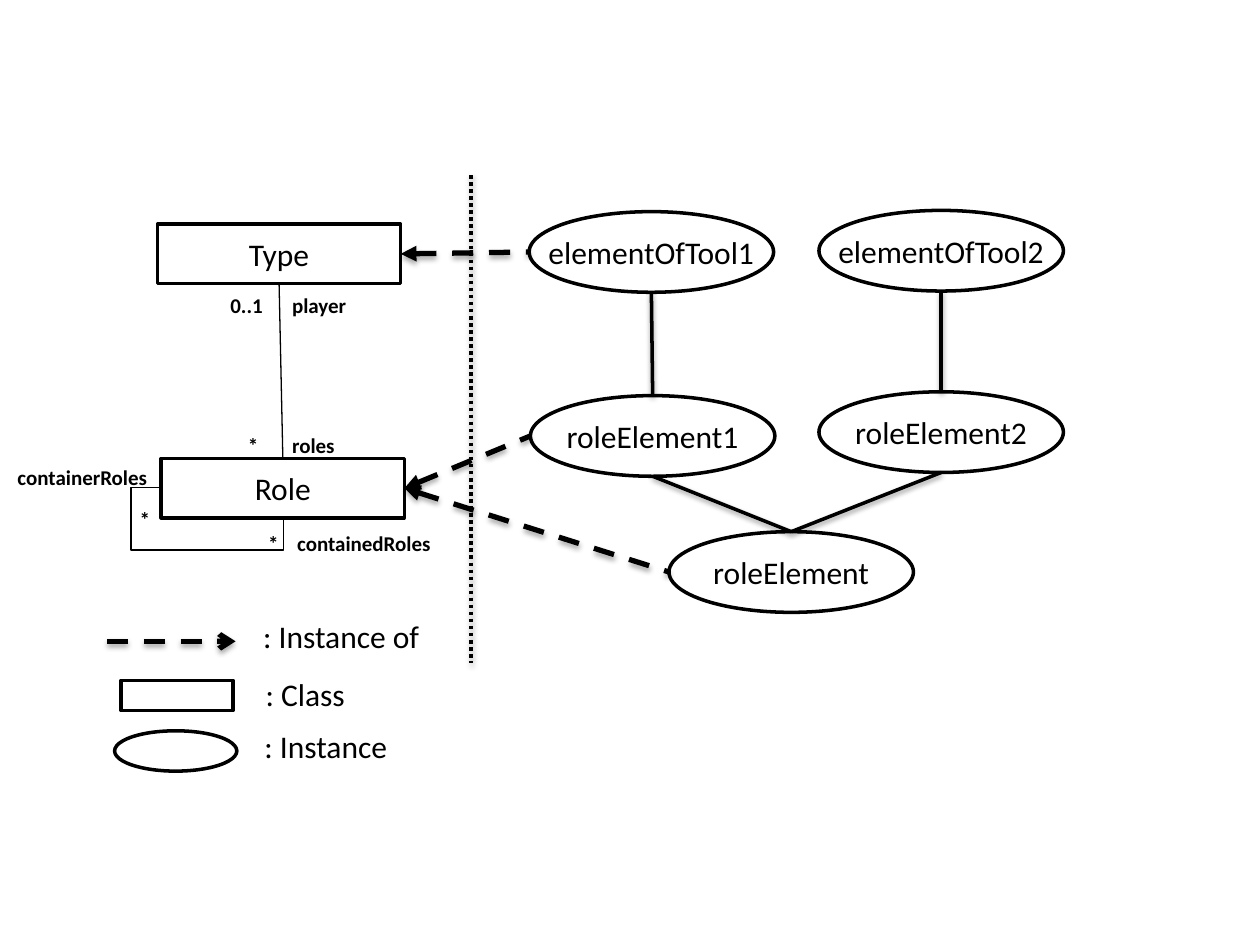
from dataclasses import dataclass

from lxml import etree
from pptx import Presentation
from pptx.dml.color import RGBColor
from pptx.enum.dml import MSO_LINE_DASH_STYLE as Dash
from pptx.enum.shapes import MSO_CONNECTOR as Connector, MSO_SHAPE as Shape
from pptx.enum.text import MSO_ANCHOR as Anchor, MSO_AUTO_SIZE as AutoSize, PP_ALIGN as Align
from pptx.oxml.ns import qn
from pptx.util import Inches, Pt


@dataclass(frozen=True)
class Theme:
    ink: RGBColor = RGBColor(0, 0, 0)
    paper: RGBColor = RGBColor(255, 255, 255)
    font: str = "Calibri"
    body: int = 18
    label: int = 12
    thin: float = 0.75
    outline: float = 2
    arrow: float = 3


TOP, LEFT, BOTTOM, RIGHT = (0.5, 0), (0, 0.5), (0.5, 1), (1, 0.5)
CLASS_SIZE, INSTANCE_SIZE = (1.93, 0.47), (1.94, 0.64)


def side(shape, place):
    return (shape.left + shape.width * place[0]) / Inches(1), (shape.top + shape.height * place[1]) / Inches(1)


class Diagram:
    """Draws classes, instances, labels and links on one slide."""

    def __init__(self, slide, theme):
        self.shapes, self.theme = slide.shapes, theme

    def style_text(self, paragraph, size, bold=False):
        font = paragraph.font
        font.name, font.size, font.bold = self.theme.font, Pt(size), bold
        font.color.rgb = self.theme.ink

    def node(self, kind, position, size, text=""):
        shape = self.shapes.add_shape(kind, *map(Inches, position + size))
        shape.shadow.inherit = False
        shape.fill.solid()
        shape.fill.fore_color.rgb = self.theme.paper
        shape.line.color.rgb = self.theme.ink
        shape.line.width = Pt(self.theme.outline)
        frame = shape.text_frame
        frame.vertical_anchor = Anchor.MIDDLE
        if kind == Shape.OVAL:
            frame.margin_left = frame.margin_right = 0
            frame.word_wrap = False
        if text:
            paragraph = frame.paragraphs[0]
            paragraph.text = text
            paragraph.alignment = Align.CENTER
            self.style_text(paragraph, self.theme.body)
        return shape

    def text(self, content, left, top, width, height, size, bold=False, tab=None):
        box = self.shapes.add_textbox(*map(Inches, (left, top, width, height)))
        frame = box.text_frame
        frame.word_wrap = False
        frame.auto_size = AutoSize.SHAPE_TO_FIT_TEXT
        paragraph = frame.paragraphs[0]
        paragraph.text = content
        self.style_text(paragraph, size, bold)
        if tab:
            stops = etree.Element(qn("a:tabLst"))
            etree.SubElement(stops, qn("a:tab"), pos=str(Inches(tab)), algn="l")
            paragraph._p.get_or_add_pPr().insert(0, stops)

    def line(self, start, end, width, dash=None, shadow=None, ends=(), kind=Connector.STRAIGHT):
        link = self.shapes.add_connector(kind, *map(Inches, start + end))
        link.line.color.rgb = self.theme.ink
        link.line.width = Pt(width)
        if dash:
            link.line.dash_style = dash
        for name, arrow in ends:
            etree.SubElement(link.line._get_or_add_ln(), qn(name), type=arrow)
        effects = etree.SubElement(link._element.spPr, qn("a:effectLst"))
        if shadow:
            distance, alpha = shadow
            outer = etree.SubElement(effects, qn("a:outerShdw"), blurRad=str(Pt(3.1)),
                                     dist=str(Pt(distance)), dir="5400000", rotWithShape="0")
            color = etree.SubElement(outer, qn("a:srgbClr"), val=str(self.theme.ink))
            etree.SubElement(color, qn("a:alpha"), val=str(alpha * 1000))
        return link

    def solid(self, start, end, dash=None):
        self.line(start, end, self.theme.outline, dash, (1.6, 38))

    def instance_of(self, start, end, ends=(("a:headEnd", "triangle"),)):
        self.line(start, end, self.theme.arrow, Dash.DASH, (1.8, 35), ends)

    def self_link(self, start, end, bends):
        link = self.line(start, end, self.theme.thin, kind=Connector.ELBOW)
        properties = link._element.spPr
        frame = properties.find(qn("a:xfrm"))
        frame.set("rot", "5400000")
        frame.set("flipH", "1")
        geometry = properties.find(qn("a:prstGeom"))
        geometry.set("prst", "bentConnector4")
        guides = geometry.find(qn("a:avLst"))
        for number, bend in enumerate(bends, 1):
            etree.SubElement(guides, qn("a:gd"), name=f"adj{number}", fmla=f"val {round(bend * 100000)}")


presentation = Presentation()
presentation.slide_width, presentation.slide_height = Inches(10), Inches(7.5)
slide = presentation.slides.add_slide(presentation.slide_layouts[6])
theme = Theme()
diagram = Diagram(slide, theme)

diagram.solid((3.74, 1.39), (3.74, 5.26), Dash.ROUND_DOT)

type_class, role_class = [
    diagram.node(Shape.RECTANGLE, position, CLASS_SIZE, name)
    for name, position in (("Type", (1.25, 1.78)), ("Role", (1.28, 3.64)))
]
tool1, tool2, role1, role2, role = [
    diagram.node(Shape.OVAL, position, INSTANCE_SIZE, name)
    for name, position in (
        ("elementOfTool1", (4.2, 1.68)),
        ("elementOfTool2", (6.5, 1.67)),
        ("roleElement1", (4.21, 3.14)),
        ("roleElement2", (6.5, 3.11)),
        ("roleElement", (5.31, 4.22)),
    )
]

for content, left, top, width, tab in (
    ("*\tcontainedRoles", 2.03, 4.16, 1.55, 0.23),
    ("containerRoles", 0.04, 3.64, 1.28, None),
    ("0..1\tplayer", 1.73, 2.27, 1.17, 0.49),
    ("*\troles", 1.87, 3.38, 0.9, 0.35),
    ("*", 1.01, 3.97, 0.29, None),
):
    diagram.text(content, left, top, width, 0.3, theme.label, True, tab)

diagram.line(side(role_class, TOP), side(type_class, BOTTOM), theme.thin)
diagram.self_link((1.65, 3.51), (1.89, 4.47), (-1.06, 1.26))

for lower, upper in ((role, role1), (role, role2), (role2, tool2), (role1, tool1)):
    diagram.solid(side(lower, TOP), side(upper, BOTTOM))
for owner, instance in ((type_class, tool1), (role_class, role1), (role_class, role)):
    diagram.instance_of(side(owner, RIGHT), side(instance, LEFT))

diagram.instance_of((0.85, 5.09), (1.87, 5.09), (("a:tailEnd", "arrow"),))
diagram.node(Shape.RECTANGLE, (0.96, 5.4), (0.89, 0.24))
diagram.node(Shape.OVAL, (0.91, 5.8), (0.97, 0.32))
for content, left, top, width in (
    (": Instance of", 1.99, 4.85, 1.46),
    (": Class", 2.01, 5.31, 0.84),
    (": Instance", 2, 5.72, 1.19),
):
    diagram.text(content, left, top, width, 0.4, theme.body)

presentation.save("out.pptx")
